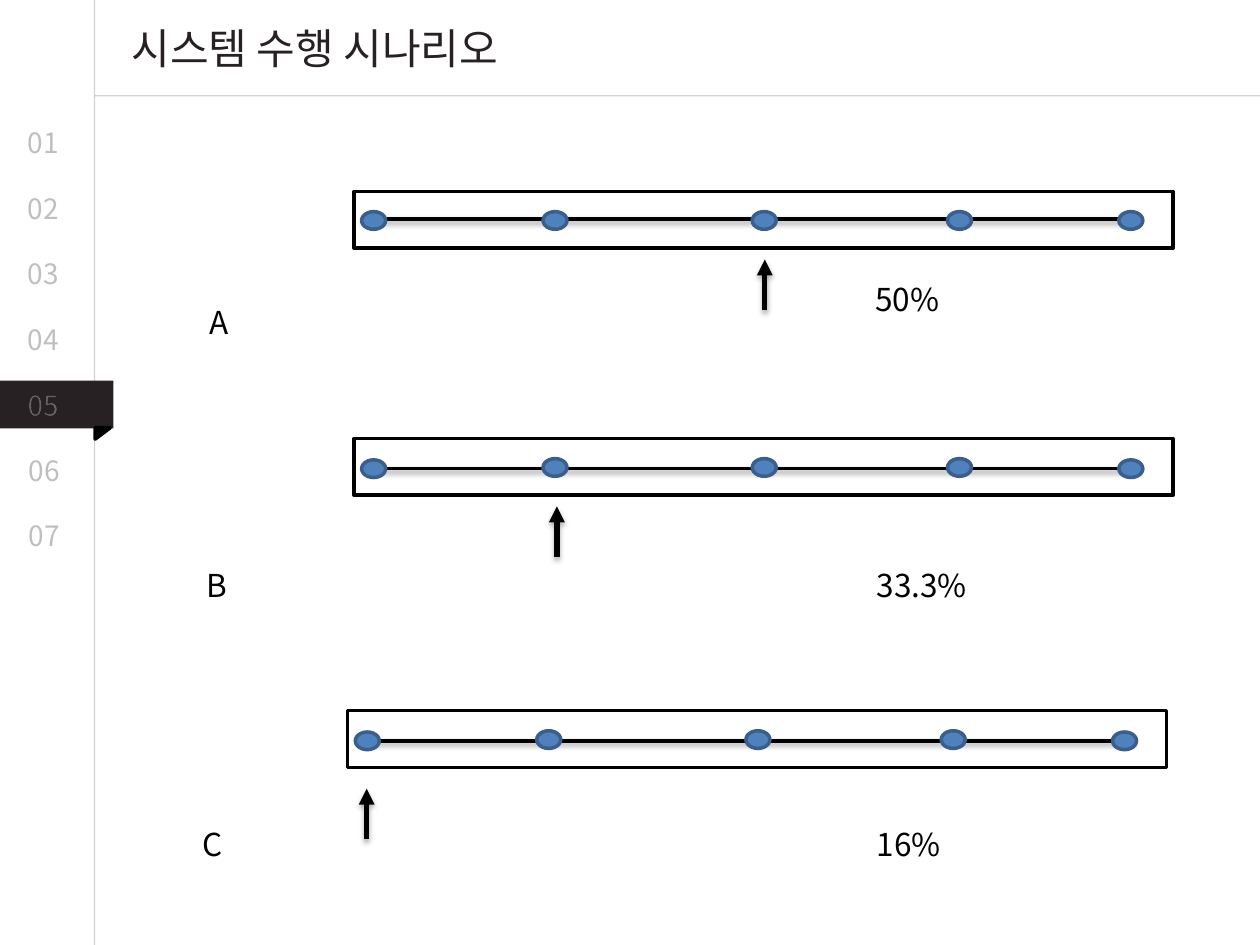
import pptx
import pptx.dml.color
import pptx.enum.shapes
import pptx.enum.text
import pptx.oxml
import pptx.oxml.ns
import pptx.util

Inches, Pt = pptx.util.Inches, pptx.util.Pt
SHAPE = pptx.enum.shapes.MSO_SHAPE
ALIGN = pptx.enum.text.PP_ALIGN

COLORS = {
    "ink": "272123", "black": "000000", "white": "FFFFFF", "rule": "A6A6A6",
    "number": "BFBFBF", "dot": "4F81BD", "dot_edge": "3A5F8C",
}


def drawing_xml(tag, body):
    return pptx.oxml.parse_xml(f"<a:{tag} {pptx.oxml.ns.nsdecls('a')}>{body}</a:{tag}>")


def alpha_fill(color, alpha):
    return f'<a:srgbClr val="{COLORS[color]}"><a:alpha val="{alpha * 1000}"/></a:srgbClr>'


class ScenarioSlide:
    """Holds the style and the slide, with one method per kind of element."""

    font_name = "Noto Sans CJK KR"

    def __init__(self, presentation):
        self.slide = presentation.slides.add_slide(presentation.slide_layouts[5])

    def rgb(self, color):
        return pptx.dml.color.RGBColor.from_string(COLORS[color])

    def fill_text(self, holder, text, size, color, align=ALIGN.LEFT, outlined=False, indent=0.1):
        frame = holder.text_frame
        frame.word_wrap = True
        frame.auto_size = pptx.enum.text.MSO_AUTO_SIZE.SHAPE_TO_FIT_TEXT
        frame.vertical_anchor = pptx.enum.text.MSO_ANCHOR.TOP
        frame.margin_left = Inches(indent)
        paragraph = frame.paragraphs[0]
        paragraph.alignment = align
        run = paragraph.add_run()
        run.text = text
        run.font.size = Pt(size)
        run.font.name = self.font_name
        run.font.color.rgb = self.rgb(color)
        properties = run.font._element
        east_asian = drawing_xml("ea", "")
        east_asian.set("typeface", self.font_name)
        properties.append(east_asian)
        if outlined:
            outline = drawing_xml("ln", f"<a:solidFill>{alpha_fill('black', 30)}</a:solidFill>")
            outline.set("w", str(Pt(0.75)))
            properties.insert(0, outline)

    def title(self, text, left, top, width, height):
        heading = self.slide.shapes.title
        heading.left, heading.top = Inches(left), Inches(top)
        heading.width, heading.height = Inches(width), Inches(height)
        self.fill_text(heading, text, 24, "ink", ALIGN.CENTER, outlined=True)

    def text(self, text, left, top, width, height, size=18, color="black", **style):
        box = self.slide.shapes.add_textbox(
            Inches(left), Inches(top), Inches(width), Inches(height))
        self.fill_text(box, text, size, color, **style)

    def shape(self, kind, left, top, width, height, fill=None, line=None, rotation=0):
        shape = self.slide.shapes.add_shape(
            kind, Inches(left), Inches(top), Inches(width), Inches(height))
        shape.shadow.inherit = False
        shape.rotation = rotation
        if fill:
            shape.fill.solid()
            shape.fill.fore_color.rgb = self.rgb(fill)
        else:
            shape.fill.background()
        if line:
            shape.line.color.rgb = self.rgb(line)
            shape.line.width = Pt(2)
        else:
            shape.line.fill.background()

    def line(self, start, end, color="black", width=2, alpha=100, shadow=None, arrow=False):
        connector = self.slide.shapes.add_connector(
            pptx.enum.shapes.MSO_CONNECTOR.STRAIGHT, *map(Inches, start + end))
        connector.line.color.rgb = self.rgb(color)
        connector.line.width = Pt(width)
        outline = connector.line._ln
        if alpha < 100:
            fill = outline.find(pptx.oxml.ns.qn("a:solidFill"))
            opacity = drawing_xml("alpha", "")
            opacity.set("val", str(alpha * 1000))
            fill[0].append(opacity)
        if arrow:
            head = drawing_xml("tailEnd", "")
            head.set("type", "triangle")
            outline.append(head)
        effect = ""
        if shadow:
            opacity, distance = shadow
            effect = (f'<a:outerShdw blurRad="{Pt(3.1)}" dist="{Pt(distance)}" dir="5400000" '
                      f'rotWithShape="0">{alpha_fill("black", opacity)}</a:outerShdw>')
        connector._element.spPr.append(drawing_xml("effectLst", effect))

    def track(self, left, top, axis_start, axis_y, end_drop):
        """A framed axis with five stops; the outer stops sit end_drop lower."""
        self.shape(SHAPE.RECTANGLE, left, top, 6.5, 0.45, line="black")
        self.line((axis_start, axis_y), (axis_start + 6.1, axis_y), shadow=(38, 1.6))
        stops = (0.06, 1.5, 3.16, 4.71, 6.07)
        for stop in stops:
            drop = end_drop if stop in (stops[0], stops[-1]) else 0
            self.shape(SHAPE.OVAL, left + stop, top + 0.16 + drop, 0.19, 0.14,
                       fill="dot", line="dot_edge")

    def pointer(self, x, tip):
        self.line((x, tip + 0.4), (x, tip), width=3, shadow=(35, 1.8), arrow=True)


def main():
    presentation = pptx.Presentation()
    presentation.slide_width, presentation.slide_height = Inches(10), Inches(7.5)
    page = ScenarioSlide(presentation)

    # Page rules and title
    page.line((0.75, -0.41), (0.75, 7.77), "rule", 0.75, alpha=50)
    page.line((10.91, 0.76), (0.75, 0.76), "rule", 0.75, alpha=50)
    page.title("시스템 수행 시나리오", 0.31, 0.13, 4.38, 0.51)

    # Ribbon marking the current section
    page.shape(SHAPE.RECTANGLE, -0.01, 3.02, 0.91, 0.38, fill="ink")
    page.shape(SHAPE.RIGHT_TRIANGLE, 0.77, 3.38, 0.09, 0.12, "black", "black", rotation=90)

    # Section numbers
    current_section = 5
    for section in range(1, 8):
        page.text(f"{section:02}", 0.12 if section < 6 else 0.13,
                  0.95 + 0.52 * (section - 1), 0.49, 0.37, size=16, outlined=True,
                  color="white" if section == current_section else "number")

    # Scenarios: track, pointer, label and share
    scenarios = [
        ("A", "50%", (2.81, 1.52, 2.87, 1.74, 0), (6.07, 2.06), (1.5, 2.36), (6.85, 2.17)),
        ("B", "33.3%", (2.81, 3.48, 2.94, 3.72, 0.01), (4.42, 4.02), (1.48, 4.44), (6.86, 4.44)),
        ("C", "16%", (2.76, 5.64, 2.89, 5.88, 0.01), (2.91, 6.26), (1.45, 6.5), (6.86, 6.5)),
    ]
    for label, share, track, pointer, label_at, share_at in scenarios:
        page.track(*track)
        page.pointer(*pointer)
        page.text(label, *label_at, 0.64, 0.4, indent=0.16)
        page.text(share, *share_at, 2.44, 0.4)

    presentation.save("out.pptx")


if __name__ == "__main__":
    main()
